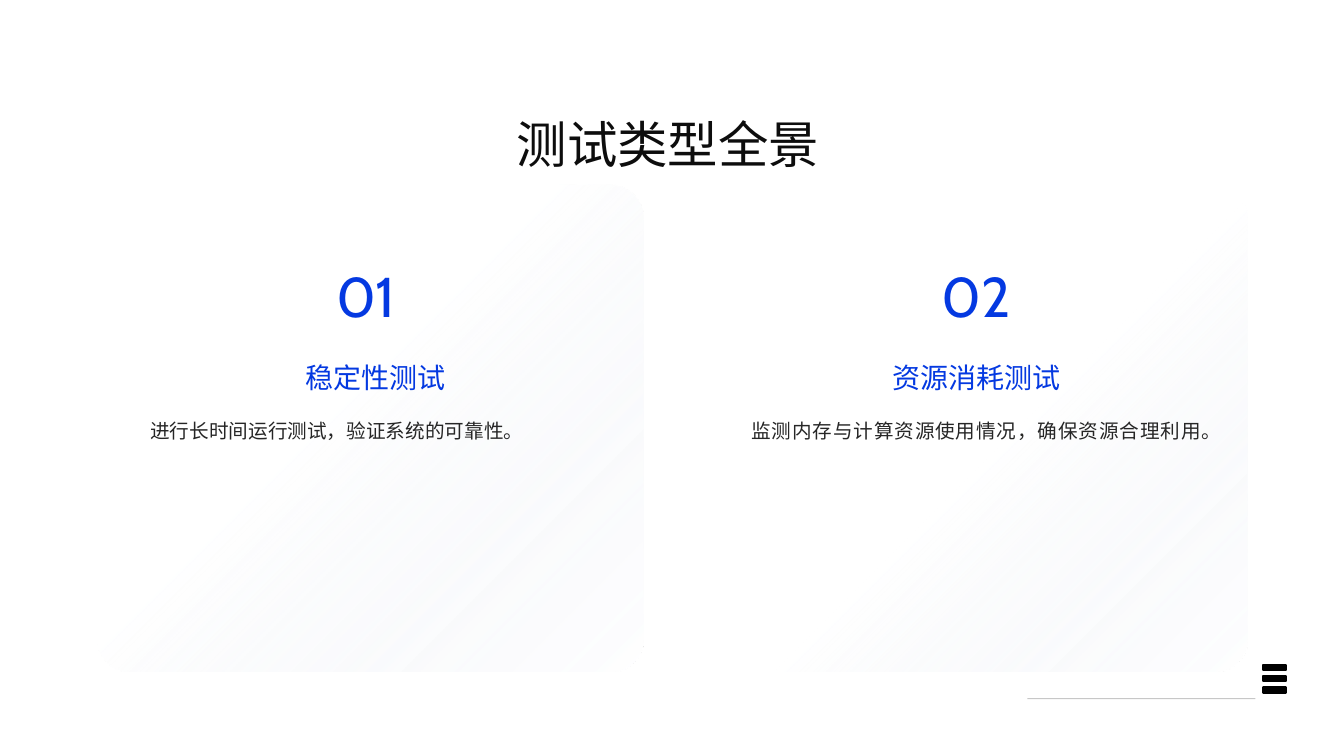
"""Build the slide that sets two kinds of testing side by side."""
from dataclasses import dataclass

from lxml import etree
from pptx import Presentation
from pptx.dml.color import RGBColor
from pptx.enum.shapes import MSO_CONNECTOR, MSO_SHAPE
from pptx.enum.text import MSO_ANCHOR, MSO_AUTO_SIZE, PP_ALIGN
from pptx.oxml import parse_xml
from pptx.oxml.ns import nsdecls, qn
from pptx.util import Inches, Pt

CENTER, JUSTIFY = PP_ALIGN.CENTER, PP_ALIGN.JUSTIFY
FIXED, GROW = MSO_AUTO_SIZE.NONE, MSO_AUTO_SIZE.SHAPE_TO_FIT_TEXT
TOP = MSO_ANCHOR.TOP
RECTANGLE, ROUNDED = MSO_SHAPE.RECTANGLE, MSO_SHAPE.ROUNDED_RECTANGLE
STRAIGHT = MSO_CONNECTOR.STRAIGHT

FONT = "Cabin"
INK, BLUE, GREY, BLACK = "0D0D0D", "0439E1", "262626", "000000"
COMPARISON_LAYOUT = 4


@dataclass(frozen=True)
class Box:
    left: float
    top: float
    width: float
    height: float

    def lengths(self) -> tuple:
        """Return the four sides as slide lengths."""
        return tuple(Inches(n) for n in (self.left, self.top, self.width, self.height))


@dataclass(frozen=True)
class TextStyle:
    size: int
    color: str
    align: PP_ALIGN = CENTER
    spacing: float = 1.0


@dataclass(frozen=True)
class TestCard:
    number: str
    heading: str
    detail: str
    card_left: float
    text_left: float
    number_left: float
    fade_stop: int
    heading_slot: int
    detail_slot: int


TITLE = TextStyle(36, INK, spacing=1.5)
NUMBER = TextStyle(40, BLUE)
HEADING = TextStyle(20, BLUE)
DETAIL = TextStyle(14, GREY, JUSTIFY, 1.5)

CARDS = (
    TestCard("01", "稳定性测试", "进行长时间运行测试，验证系统的可靠性。",
             0.96, 0.99, 3.15, 56, 1, 2),
    TestCard("02", "资源消耗测试", "监测内存与计算资源使用情况，确保资源合理利用。",
             6.95, 6.95, 9.2, 46, 3, 4),
)


def rgb(color: str) -> RGBColor:
    """Turn a hex string into a colour."""
    return RGBColor.from_string(color)


def write(shape, box: Box, text: str, style: TextStyle, fit=FIXED) -> None:
    """Place a text shape and fill it with one formatted paragraph."""
    shape.left, shape.top, shape.width, shape.height = box.lengths()
    frame = shape.text_frame
    frame.margin_left = frame.margin_right = frame.margin_top = frame.margin_bottom = 0
    frame.word_wrap, frame.auto_size, frame.vertical_anchor = True, fit, TOP
    para = frame.paragraphs[0]
    para.alignment, para.line_spacing, para.space_before = style.align, style.spacing, Pt(0)
    if shape.is_placeholder:
        properties = para._p.get_or_add_pPr()
        properties.set("marL", "0")
        properties.set("indent", "0")
        etree.SubElement(properties, qn("a:buNone"))
    span = para.add_run()
    span.text = text
    span.font.name, span.font.size, span.font.bold = FONT, Pt(style.size), False
    span.font.color.rgb = rgb(style.color)


def add_panel(page, box: Box, fade_stop: int) -> None:
    """Add a rounded panel with a fading radial gradient."""
    panel = page.shapes.add_shape(ROUNDED, *box.lengths())
    panel.shadow.inherit = False
    panel.adjustments[0] = 0.072
    panel.line.fill.background()
    panel.fill.background()
    stops = "".join(
        f'<a:gs pos="{stop * 1000}"><a:srgbClr val="{color}">'
        f'<a:alpha val="{alpha * 1000}"/></a:srgbClr></a:gs>'
        for stop, color, alpha in ((0, "FFFFFF", 86), (fade_stop, "EAEEF4", 0), (100, "EAEEF4", 0))
    )
    gradient = parse_xml(
        f'<a:gradFill {nsdecls("a")} rotWithShape="1"><a:gsLst>{stops}</a:gsLst>'
        '<a:path path="circle"><a:fillToRect l="100000" t="100000"/></a:path></a:gradFill>'
    )
    properties = panel._element.spPr
    properties.replace(properties.find(qn("a:noFill")), gradient)


def add_card_text(page, slots: dict, card: TestCard) -> None:
    """Write the number, heading and detail of one card."""
    write(slots[card.heading_slot], Box(card.text_left, 3.58, 5.47, 0.42), card.heading, HEADING)
    write(slots[card.detail_slot], Box(card.text_left + 0.5, 4.04, 4.47, 2.32), card.detail, DETAIL)
    box = Box(card.number_left, 2.59, 0.96, 0.76)
    write(page.shapes.add_textbox(*box.lengths()), box, card.number, NUMBER)


def add_footer(page) -> None:
    """Add the faint rule and the three-bar menu mark."""
    rule = page.shapes.add_connector(
        STRAIGHT, Inches(10.19), Inches(6.93), Inches(12.45), Inches(6.93))
    rule.line.width = Pt(0.75)
    rule.line.color.rgb = rgb(BLACK)
    color = rule._element.spPr.find(".//" + qn("a:srgbClr"))
    etree.SubElement(color, qn("a:alpha")).set("val", "22000")
    etree.SubElement(rule._element.spPr, qn("a:effectLst"))
    for row in range(3):
        bar = page.shapes.add_shape(
            RECTANGLE, *Box(12.53, 6.6 + 0.11 * row, 0.23, 0.05).lengths())
        bar.shadow.inherit = False
        bar.fill.solid()
        bar.fill.fore_color.rgb = rgb(BLACK)
        bar.line.color.rgb = rgb(BLACK)
        bar.line.width = Pt(1.5)


def main() -> None:
    """Build and save the deck."""
    deck = Presentation()
    deck.slide_width, deck.slide_height = Inches(13.33), Inches(7.5)
    page = deck.slides.add_slide(deck.slide_layouts[COMPARISON_LAYOUT])
    slots = {slot.placeholder_format.idx: slot for slot in page.placeholders}
    for card in CARDS:
        add_panel(page, Box(card.card_left, 1.83, 5.42, 4.83), card.fade_stop)
    for slot in slots.values():
        page.shapes._spTree.append(slot._element)
    write(page.shapes.title, Box(0.8, 0.82, 11.65, 0.9), "测试类型全景", TITLE, GROW)
    for card in CARDS:
        add_card_text(page, slots, card)
    add_footer(page)
    deck.save("out.pptx")


if __name__ == "__main__":
    main()
